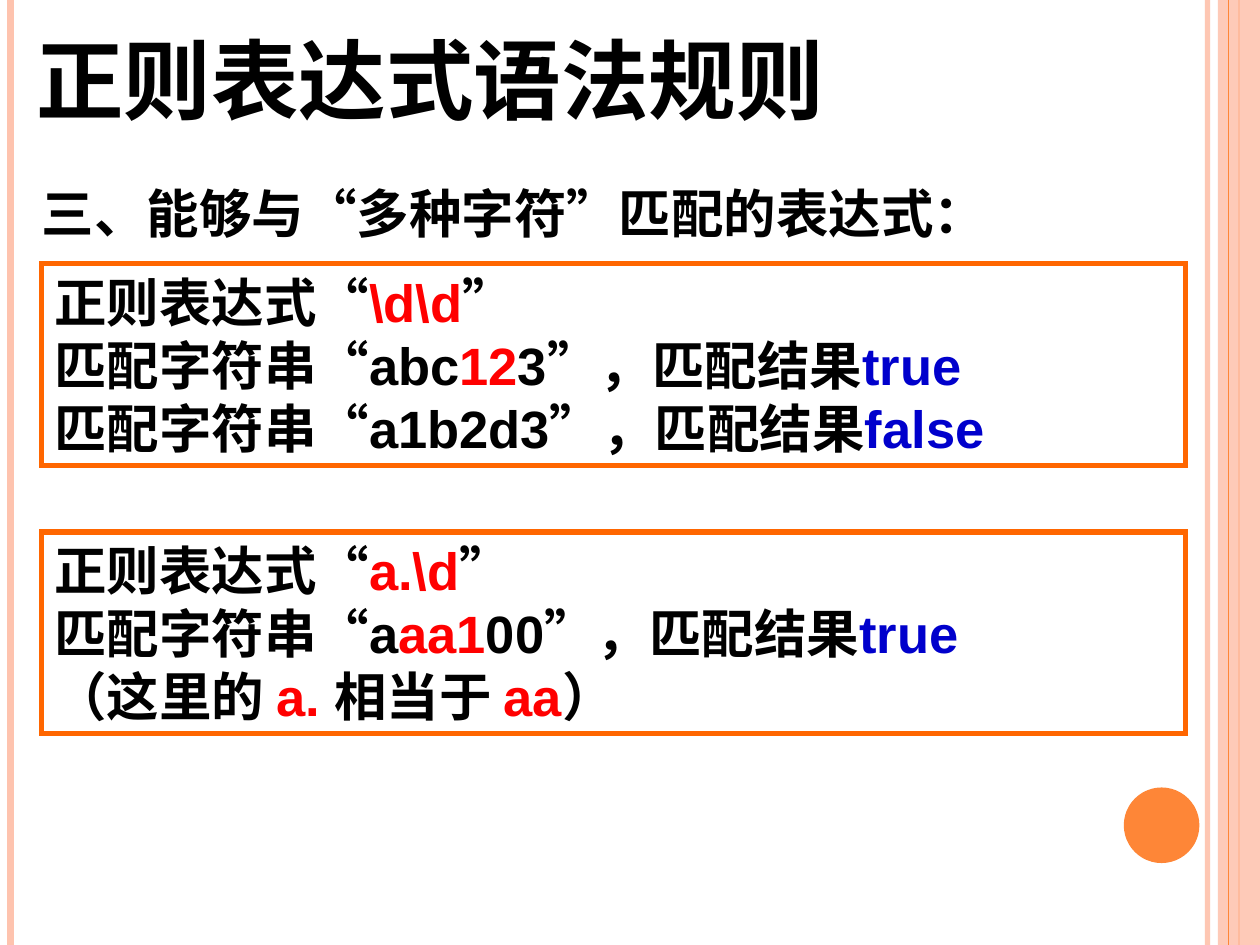
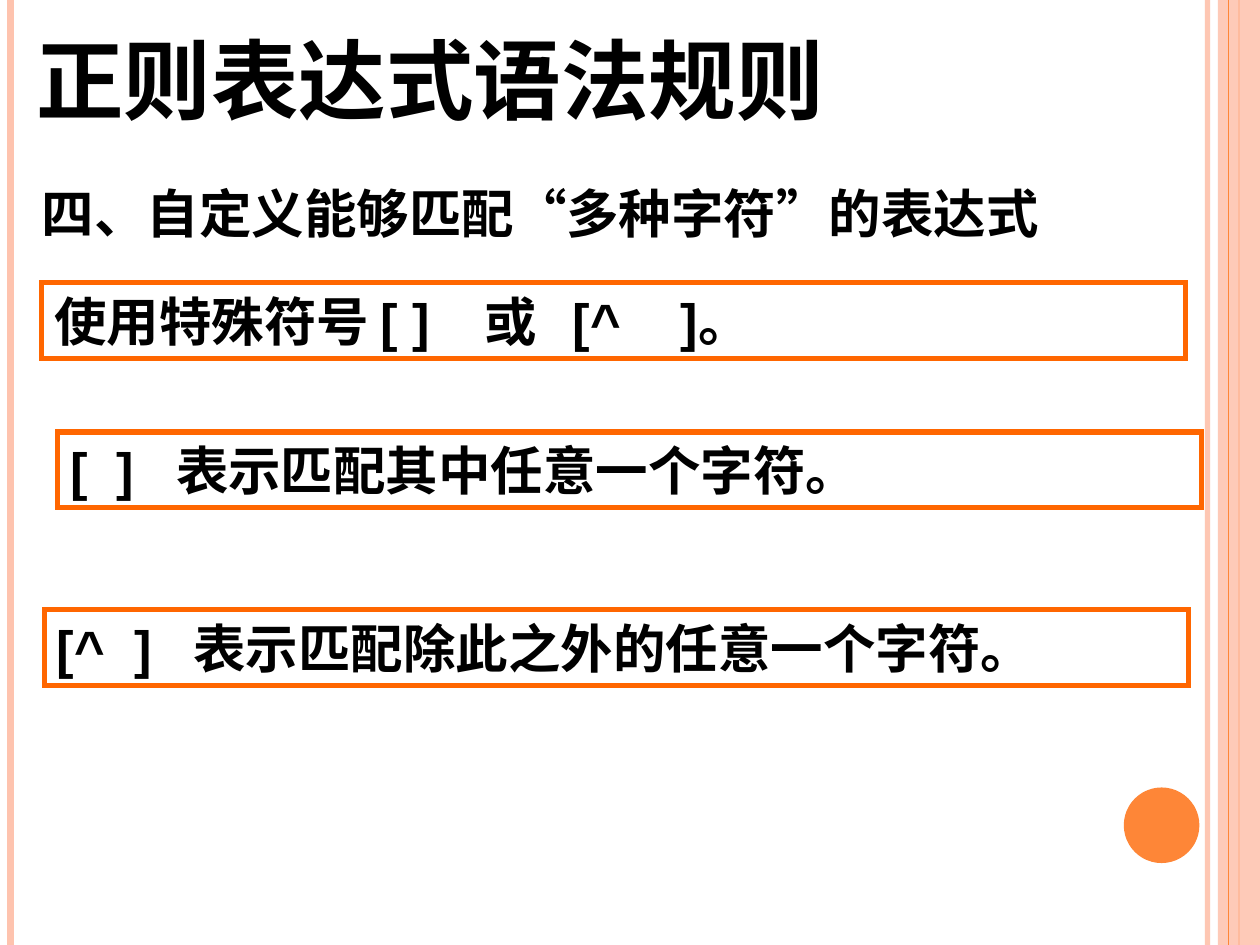
from lxml.etree import SubElement
from pptx import Presentation
from pptx.dml.color import RGBColor
from pptx.enum.lang import MSO_LANGUAGE_ID as Lang
from pptx.enum.shapes import MSO_CONNECTOR as Connector, MSO_SHAPE as Shape
from pptx.enum.text import MSO_ANCHOR as Anchor, MSO_AUTO_SIZE as AutoSize, PP_ALIGN as Align
from pptx.oxml.ns import qn
from pptx.util import Pt

# Shared look
BLACK = RGBColor(0x00, 0x00, 0x00)
RED = RGBColor(0xFF, 0x00, 0x00)
BLUE = RGBColor(0x00, 0x00, 0xCC)
FRAME = RGBColor(0xFF, 0x66, 0x00)
PEACH = RGBColor(0xFE, 0xC3, 0xAE)
ORANGE = RGBColor(0xFE, 0x86, 0x37)
HEADING_FONT, RULE_FONT = "TeX Gyre Schola", "Arial"
TITLE_SIZE, TEXT_SIZE = 50, 30
WIDTH, HEIGHT = 720, 540
BOX_LEFT, BOX_WIDTH = 23.8, 653.8
TITLE = "正则表达式语法规则"

# Content: a box is a list of lines, a line a list of (text, colour) runs
EXAMPLES = [
    (150.8, [
        [("正则表达式“", BLACK), ("\\d\\d", RED), ("”", BLACK)],
        [("匹配字符串“abc", BLACK), ("12", RED), ("3”，匹配结果", BLACK), ("true", BLUE)],
        [("匹配字符串“a1b2d3”，匹配结果", BLACK), ("false", BLUE)],
    ]),
    (304, [
        [("正则表达式“", BLACK), ("a.\\d", RED), ("”", BLACK)],
        [("匹配字符串“a", BLACK), ("aa1", RED), ("00”，匹配结果", BLACK), ("true", BLUE)],
        [("（这里的 ", BLACK), ("a. ", RED), ("相当于 ", BLACK), ("aa", RED), ("）", BLACK)],
    ]),
]
# Bracket rules: left, top, text, tab stops
BRACKETS = [
    (BOX_LEFT, 161.6, "使用特殊符号 [ ]\t或\t[^\t]。", (246, 296.5, 358)),
    (33, 246.8, "[\t]\t表示匹配其中任意一个字符。", (26.5, 60.5)),
    (25.4, 348.4, "[^\t]\t表示匹配除此之外的任意一个字符。", (44.5, 78)),
]


def set_opacity(element, percent):
    colour = next(element.iter(qn("a:srgbClr")))
    SubElement(colour, qn("a:alpha"), val=str(percent * 1000))


def add_stripe(slide, x, weight, colour, opacity=100):
    stripe = slide.shapes.add_connector(Connector.STRAIGHT, Pt(x), 0, Pt(x), Pt(HEIGHT))
    stripe.line.color.rgb = colour
    stripe.line.width = Pt(weight)
    if opacity < 100:
        set_opacity(stripe._element.spPr, opacity)
    SubElement(stripe._element.spPr, qn("a:effectLst"))


def add_plain_shape(slide, kind, left, top, width, height, colour=None):
    shape = slide.shapes.add_shape(kind, Pt(left), Pt(top), Pt(width), Pt(height))
    shape.shadow.inherit = False
    shape.line.fill.background()
    if colour is None:
        shape.fill.background()
    else:
        shape.fill.solid()
        shape.fill.fore_color.rgb = colour
    return shape


def add_run(paragraph, text, size, font, colour=BLACK):
    run = paragraph.add_run()
    run.text = text
    run.font.size = Pt(size)
    run.font.name = font
    run.font.bold = True
    run.font.color.rgb = colour
    run.font.language_id = Lang.SIMPLIFIED_CHINESE


def fill_placeholder(holder, left, top, width, height, text, size):
    holder.left, holder.top, holder.width, holder.height = map(Pt, (left, top, width, height))
    frame = holder.text_frame
    frame.word_wrap = True
    frame.auto_size = AutoSize.NONE
    frame.vertical_anchor = Anchor.TOP
    paragraph = frame.paragraphs[0]
    properties = paragraph._p.get_or_add_pPr()
    properties.set("marL", "0")
    properties.set("indent", "0")
    SubElement(properties, qn("a:buNone"))
    paragraph.alignment = Align.LEFT
    paragraph.space_before = Pt(0)
    add_run(paragraph, text, size, HEADING_FONT)


def add_framed_box(slide, left, top, height, lines, tabs=()):
    box = add_plain_shape(slide, Shape.RECTANGLE, left, top, BOX_WIDTH, height)
    box.line.color.rgb = FRAME
    box.line.width = Pt(3)
    # Square corners
    SubElement(box._element.spPr.find(qn("a:ln")), qn("a:miter"), lim="800000")
    frame = box.text_frame
    frame.word_wrap = True
    frame.auto_size = AutoSize.SHAPE_TO_FIT_TEXT
    frame.vertical_anchor = Anchor.TOP
    for index, line in enumerate(lines):
        paragraph = frame.add_paragraph() if index else frame.paragraphs[0]
        paragraph.alignment = Align.LEFT
        if tabs:
            stops = SubElement(paragraph._p.get_or_add_pPr(), qn("a:tabLst"))
            for stop in tabs:
                SubElement(stops, qn("a:tab"), pos=str(Pt(stop)), algn="l")
        for text, colour in line:
            add_run(paragraph, text, TEXT_SIZE, RULE_FONT, colour)


def add_decoration(slide):
    add_stripe(slide, 690, 3, PEACH, 92)
    add_stripe(slide, 6, 4.5, PEACH)
    add_stripe(slide, 708, 1.5, ORANGE)
    band = add_plain_shape(slide, Shape.RECTANGLE, 696, 0, 24, HEIGHT, PEACH)
    set_opacity(band._element.spPr, 87)
    add_stripe(slide, 702, 0.75, ORANGE)
    add_plain_shape(slide, Shape.OVAL, 642.2, 450, 43.2, 43.2, ORANGE)


def add_rule_slide(deck, heading):
    slide = deck.slides.add_slide(deck.slide_layouts[1])
    add_decoration(slide)
    fill_placeholder(slide.shapes.title, 13.6, 11, 480, 67.6, TITLE, TITLE_SIZE)
    fill_placeholder(slide.placeholders[1], 16.6, 100, 646.6, 43.2, heading, TEXT_SIZE)
    return slide


def main():
    deck = Presentation()
    deck.slide_width, deck.slide_height = Pt(WIDTH), Pt(HEIGHT)

    # Expressions that match many characters
    examples = add_rule_slide(deck, "三、能够与“多种字符”匹配的表达式：")
    for top, lines in EXAMPLES:
        add_framed_box(examples, BOX_LEFT, top, 115.2, lines)

    # Custom character sets
    brackets = add_rule_slide(deck, "四、自定义能够匹配“多种字符”的表达式")
    for left, top, text, tabs in BRACKETS:
        add_framed_box(brackets, left, top, 43.2, [[(text, BLACK)]], tabs)

    deck.save("out.pptx")


if __name__ == "__main__":
    main()
